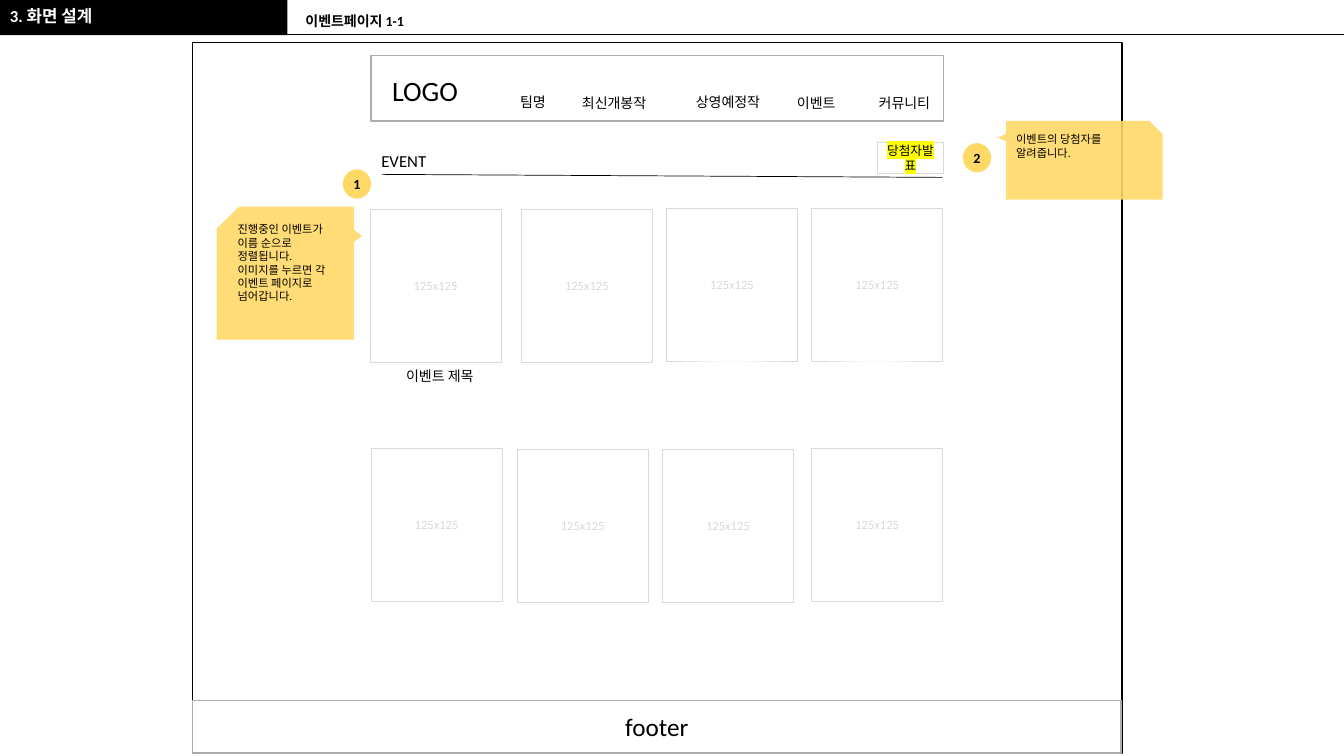
from lxml.etree import SubElement
from pptx import Presentation
from pptx.dml.color import RGBColor
from pptx.enum.shapes import MSO_CONNECTOR, MSO_SHAPE
from pptx.enum.text import MSO_ANCHOR, MSO_AUTO_SIZE, PP_ALIGN
from pptx.oxml.ns import qn
from pptx.util import Inches, Pt

BLACK = RGBColor(0x00, 0x00, 0x00)
WHITE = RGBColor(0xFF, 0xFF, 0xFF)
GREY = RGBColor(0xAF, 0xAB, 0xAB)
PALE = RGBColor(0xD9, 0xD9, 0xD9)
YELLOW = RGBColor(0xFF, 0xD9, 0x66)
FONT = "Calibri"

SECTION = "3. 화면 설계"
TITLE = "이벤트페이지 1-1"
MENU = [
    ("최신개봉작", 5.44, 0.89, 1.3, PP_ALIGN.CENTER),
    ("팀명", 5.06, 0.88, 0.68, PP_ALIGN.LEFT),
    ("이벤트", 7.62, 0.89, 0.95, PP_ALIGN.CENTER),
    ("상영예정작", 6.57, 0.88, 1.3, PP_ALIGN.CENTER),
    ("커뮤니티", 8.39, 0.89, 1.16, PP_ALIGN.CENTER),
]
THUMBNAIL = "125x125"
THUMBNAIL_SIZE = (1.3, 1.51)
THUMBNAIL_CORNERS = [
    (3.67, 2.08), (5.17, 2.08), (6.61, 2.07), (8.05, 2.07),
    (3.68, 4.45), (5.13, 4.46), (6.57, 4.46), (8.05, 4.45),
]
BADGES = [("1", 3.4, 1.68), ("2", 9.55, 1.42)]
NOTES = [
    {"lines": ["진행중인 이벤트가 이름 순으로 정렬됩니다.", "이미지를 누르면 각 이벤트 페이지로 넘어갑니다."],
     "box": (2.15, 2.05, 1.36, 1.32), "flipped": True,
     "pointer": (3.49, 2.3, 0.12, 0.08), "rotation": 90},
    {"lines": ["이벤트의 당첨자를 알려줍니다."],
     "box": (9.98, 1.2, 1.55, 0.78), "flipped": False,
     "pointer": (9.9, 1.32, 0.07, 0.09), "rotation": 270},
]


def write(frame, lines, size, color=BLACK, bold=False, align=PP_ALIGN.LEFT):
    """Write lines into one paragraph and return its last run."""
    para = frame.paragraphs[0]
    para.alignment = align
    for index, line in enumerate(lines):
        if index:
            para.add_line_break()
        span = para.add_run()
        span.text = line
        span.font.name = FONT
        span.font.size = Pt(size)
        span.font.bold = bold
        span.font.color.rgb = color
    return span


def add_box(page, kind, place, fill, line=None, width=1):
    """Add a preset shape without shadow."""
    box = page.shapes.add_shape(kind, *map(Inches, place))
    box.shadow.inherit = False
    box.fill.solid()
    box.fill.fore_color.rgb = fill
    if line is None:
        box.line.fill.background()
    else:
        box.line.color.rgb = line
        box.line.width = Pt(width)
    return box


def add_centred(page, text, place, size, color=BLACK, line=None, width=1):
    """Add a white rectangle with centred text and return the run."""
    box = add_box(page, MSO_SHAPE.RECTANGLE, place, WHITE, line, width)
    box.text_frame.vertical_anchor = MSO_ANCHOR.MIDDLE
    return write(box.text_frame, [text], size, color, align=PP_ALIGN.CENTER)


def add_label(page, text, place, size, align=PP_ALIGN.LEFT):
    """Add a wrapping text box that grows with its text."""
    frame = page.shapes.add_textbox(*map(Inches, place)).text_frame
    frame.word_wrap = True
    frame.auto_size = MSO_AUTO_SIZE.SHAPE_TO_FIT_TEXT
    write(frame, [text], size, align=align)


def add_line(page, start, end):
    """Add a thin black line."""
    line = page.shapes.add_connector(MSO_CONNECTOR.STRAIGHT, *map(Inches, start + end))
    line.line.color.rgb = BLACK
    line.line.width = Pt(0.5)
    SubElement(line._element.spPr, qn("a:effectLst"))


def set_heading(box, text, place, size, color):
    """Place and format a bold heading."""
    box.left, box.top, box.width, box.height = map(Inches, place)
    frame = box.text_frame
    frame.word_wrap = True
    frame.auto_size = MSO_AUTO_SIZE.NONE
    frame.vertical_anchor = MSO_ANCHOR.TOP
    write(frame, [text], size, color, bold=True)
    frame.paragraphs[0].line_spacing = 0.9


def set_opacity(box, percent):
    """Make a solid fill partly transparent."""
    color = box._element.spPr.find(qn("a:solidFill"))[0]
    SubElement(color, qn("a:alpha")).set("val", str(percent * 1000))


def add_note(page, note):
    """Add a callout note with its pointer."""
    box = add_box(page, MSO_SHAPE.SNIP_1_RECTANGLE, note["box"], YELLOW)
    if note["flipped"]:
        box._element.spPr.find(qn("a:xfrm")).set("flipH", "1")
    box.text_frame.vertical_anchor = MSO_ANCHOR.TOP
    write(box.text_frame, note["lines"], 8)
    pointer = add_box(page, MSO_SHAPE.ISOSCELES_TRIANGLE, note["pointer"], YELLOW)
    pointer.rotation = note["rotation"]
    for part in (box, pointer):
        set_opacity(part, 90)


def add_badge(page, number, left, top):
    """Add a numbered circle."""
    badge = add_box(page, MSO_SHAPE.OVAL, (left, top, 0.28, 0.29), YELLOW)
    frame = badge.text_frame
    frame.margin_left = frame.margin_right = frame.margin_top = frame.margin_bottom = 0
    frame.word_wrap = False
    frame.vertical_anchor = MSO_ANCHOR.MIDDLE
    write(frame, [number], 10, bold=True, align=PP_ALIGN.CENTER)


def main():
    """Build the event page wireframe."""
    deck = Presentation()
    deck.slide_width, deck.slide_height = Inches(13.33), Inches(7.5)
    page = deck.slides.add_slide(deck.slide_layouts[5])

    set_heading(page.shapes.title, TITLE, (2.93, 0.09, 8.57, 0.26), 10, BLACK)
    add_box(page, MSO_SHAPE.RECTANGLE, (0, 0, 2.85, 0.35), BLACK)
    add_line(page, (2.76, 0.34), (13.33, 0.34))
    add_box(page, MSO_SHAPE.RECTANGLE, (1.91, 0.42, 9.22, 7.05), WHITE, BLACK)
    section_place = (0, 0.03, 2.85, 0.32)
    section = page.shapes.add_textbox(*map(Inches, section_place))
    set_heading(section, SECTION, section_place, 12, WHITE)

    add_box(page, MSO_SHAPE.RECTANGLE, (3.68, 0.55, 5.68, 0.65), WHITE, GREY)
    add_label(page, "LOGO", (3.79, 0.68, 1.07, 0.44), 20)
    for text, left, top, width, align in MENU:
        add_label(page, text, (left, top, width, 0.27), 10, align)

    add_centred(page, "footer", (1.91, 6.95, 9.21, 0.52), 18, line=GREY)
    for corner in THUMBNAIL_CORNERS:
        add_centred(page, THUMBNAIL, corner + THUMBNAIL_SIZE, 9, PALE, PALE, 0.25)
    add_label(page, "이벤트 제목", (3.93, 3.6, 1.05, 0.27), 10)

    winners = add_centred(page, "당첨자발표", (8.7, 1.41, 0.66, 0.31), 9, line=PALE, width=0.25)
    properties = winners.font._element
    highlight = SubElement(properties, qn("a:highlight"))
    SubElement(highlight, qn("a:srgbClr")).set("val", "FFFF00")
    properties.find(qn("a:solidFill")).addnext(highlight)

    add_centred(page, "EVENT", (3.68, 1.44, 0.65, 0.31), 12)
    add_line(page, (3.79, 1.73), (9.35, 1.76))
    for badge in BADGES:
        add_badge(page, *badge)
    for note in NOTES:
        add_note(page, note)

    deck.save("out.pptx")


if __name__ == "__main__":
    main()
